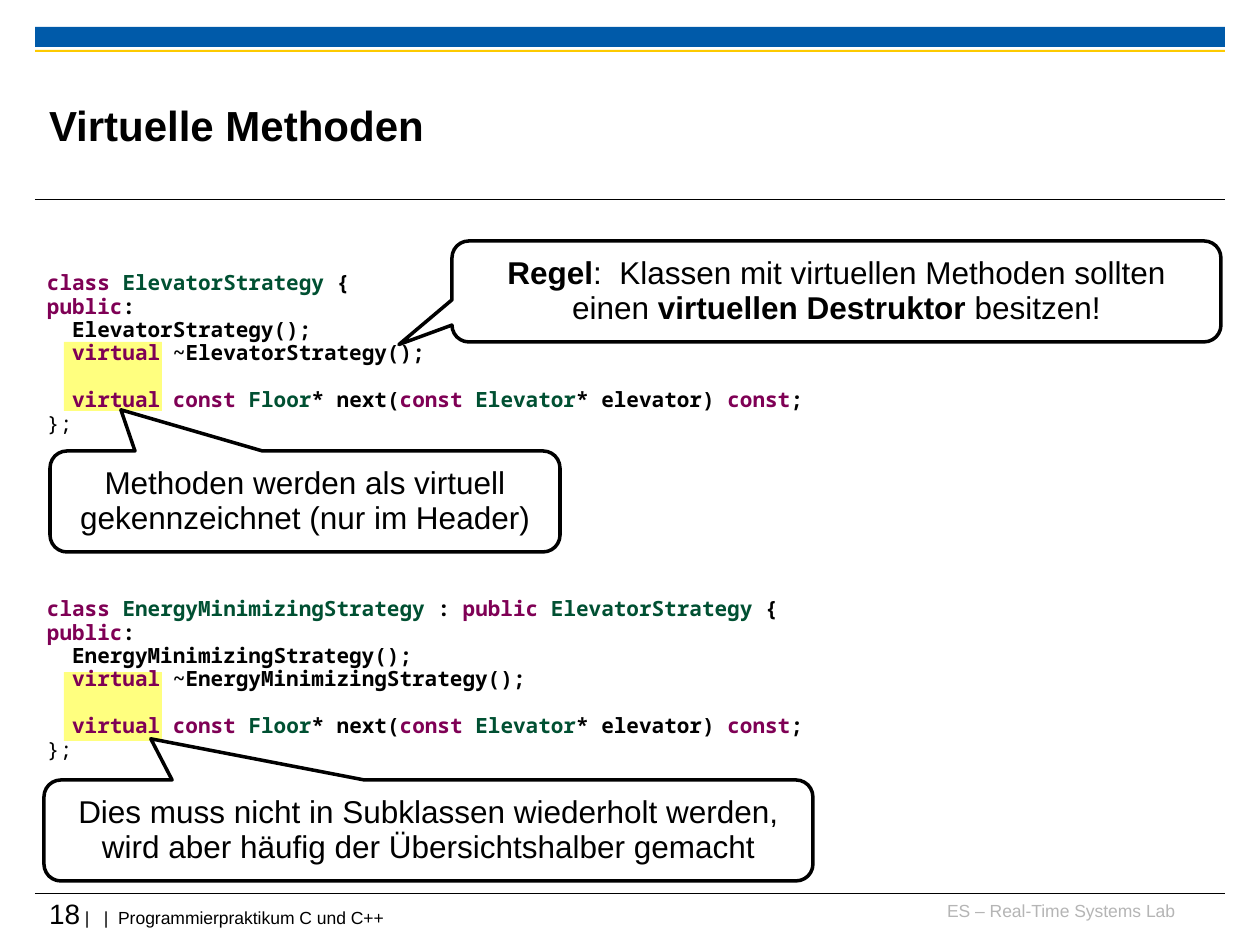
from typing import NamedTuple

import pptx
import pptx.dml.color
import pptx.enum.shapes
import pptx.enum.text
import pptx.oxml
import pptx.oxml.ns
import pptx.util

PX = 914400 / 126
COLORS = {
    "black": "000000", "white": "FFFFFF", "blue": "005AA9", "gold": "FDCA00",
    "grey": "B5B5B5", "marker": "FFFF00", "keyword": "7F0055", "type": "005032",
}
SHAPES = pptx.enum.shapes.MSO_SHAPE
ALIGN = pptx.enum.text.PP_ALIGN
ANCHOR = pptx.enum.text.MSO_ANCHOR
LINE_SPACING = 0.93
CODE_LINE = 13.4  # height of one line of code in points


class Box(NamedTuple):
    left: int
    top: int
    width: int
    height: int


class Span(NamedTuple):
    text: str
    color: str = "black"
    bold: bool = False
    size: int = 18
    font: str = "Arial"


class Callout(NamedTuple):
    box: Box
    tip: tuple[float, float]
    spans: list[Span]


def emu(*lengths: int) -> list[int]:
    return [round(length * PX) for length in lengths]


def rgb(name: str) -> pptx.dml.color.RGBColor:
    return pptx.dml.color.RGBColor.from_string(COLORS[name])


def add_spans(paragraph, spans: list[Span]) -> None:
    for span in spans:
        run = paragraph.add_run()
        run.text = span.text
        run.font.name = span.font
        run.font.size = pptx.util.Pt(span.size)
        run.font.bold = span.bold
        run.font.color.rgb = rgb(span.color)


def set_insets(frame, horizontal: int, vertical: int) -> None:
    frame.margin_left, frame.margin_right = emu(horizontal, horizontal)
    frame.margin_top, frame.margin_bottom = emu(vertical, vertical)


def add_text(slide, box: Box, spans: list[Span], align=ALIGN.LEFT, before: float = 0) -> None:
    frame = slide.shapes.add_textbox(*emu(*box)).text_frame
    frame.word_wrap = True
    set_insets(frame, 0, 0)
    paragraph = frame.paragraphs[0]
    paragraph.alignment = align
    paragraph.space_before = pptx.util.Pt(before)
    add_spans(paragraph, spans)


def add_filled(slide, box: Box, color: str, kind=SHAPES.RECTANGLE):
    shape = slide.shapes.add_shape(kind, *emu(*box))
    shape.shadow.inherit = False
    shape.fill.solid()
    shape.fill.fore_color.rgb = rgb(color)
    shape.line.fill.background()
    return shape


def add_marker(slide, box: Box) -> None:
    marker = add_filled(slide, box, "marker")
    color = marker.fill._xPr.find(".//" + pptx.oxml.ns.qn("a:srgbClr"))
    alpha = pptx.oxml.parse_xml(f'<a:alpha {pptx.oxml.ns.nsdecls("a")} val="50000"/>')
    color.append(alpha)


def add_rule(slide, left: int, right: int, y: int) -> None:
    rule = slide.shapes.add_connector(
        pptx.enum.shapes.MSO_CONNECTOR.STRAIGHT, *emu(left, y, right, y))
    rule.line.color.rgb = rgb("black")
    rule.line.width = pptx.util.Pt(0.6)
    no_effects = pptx.oxml.parse_xml(f'<a:effectLst {pptx.oxml.ns.nsdecls("a")}/>')
    rule._element.spPr.append(no_effects)


def add_callout(slide, callout: Callout) -> None:
    bubble = add_filled(slide, callout.box, "white", SHAPES.ROUNDED_RECTANGULAR_CALLOUT)
    for index, value in enumerate((*callout.tip, 0.167)):
        bubble.adjustments[index] = value
    bubble.line.color.rgb = rgb("black")
    bubble.line.width = pptx.util.Pt(2)
    frame = bubble.text_frame
    frame.word_wrap = True
    frame.vertical_anchor = ANCHOR.MIDDLE
    set_insets(frame, 13, 6)
    paragraph = frame.paragraphs[0]
    paragraph.alignment = ALIGN.CENTER
    paragraph.line_spacing = LINE_SPACING
    add_spans(paragraph, callout.spans)


def code(text: str, color: str = "black", bold: bool = True) -> Span:
    return Span(text, color, bold, 12, "Noto Sans Mono")


def class_lines(name: str, base: list[Span]) -> list[list[Span]]:
    return [
        [code("class ", "keyword"), code(name, "type"), *base, code(" {")],
        [code("public", "keyword"), code(":")],
        [code(f"  {name}();")],
        [code("  virtual", "keyword"), code(f" ~{name}();")],
        [code("  virtual const ", "keyword"), code("Floor", "type"), code("* next("),
         code("const ", "keyword"), code("Elevator", "type"), code("* elevator) "),
         code("const", "keyword"), code(";")],
        [code("};", bold=False)],
    ]


def add_code(slide, box: Box, lines: list[list[Span]]) -> None:
    frame = slide.shapes.add_textbox(*emu(*box)).text_frame
    frame.word_wrap = True
    set_insets(frame, 13, 6)
    for index, spans in enumerate(lines):
        paragraph = frame.add_paragraph() if index else frame.paragraphs[0]
        paragraph.line_spacing = LINE_SPACING
        # The gap of one line sets the method apart from the destructor
        paragraph.space_before = pptx.util.Pt(CODE_LINE if index == 4 else 0)
        add_spans(paragraph, spans)


def add_title(slide, box: Box, span: Span) -> None:
    title = slide.shapes.title
    title.left, title.top, title.width, title.height = emu(*box)
    frame = title.text_frame
    frame.auto_size = pptx.enum.text.MSO_AUTO_SIZE.NONE
    frame.vertical_anchor = ANCHOR.MIDDLE
    set_insets(frame, 0, 0)
    frame.paragraphs[0].alignment = ALIGN.LEFT
    add_spans(frame.paragraphs[0], [span])


CALLOUTS = [
    Callout(Box(50, 451, 510, 101), (-0.361, -0.908),
            [Span("Methoden werden als virtuell gekennzeichnet (nur im Header)")]),
    Callout(Box(44, 780, 769, 101), (-0.361, -0.908),
            [Span("Dies muss nicht in Subklassen wiederholt werden, "
                  "wird aber häufig der Übersichtshalber gemacht")]),
    Callout(Box(452, 241, 769, 101), (-0.569, 0.526),
            [Span("Regel", bold=True),
             Span(":  Klassen mit virtuellen Methoden sollten einen "),
             Span("virtuellen Destruktor", bold=True), Span(" besitzen!")]),
]


def main() -> None:
    deck = pptx.Presentation()
    deck.slide_width, deck.slide_height = emu(1260, 945)
    slide = deck.slides.add_slide(deck.slide_layouts[5])

    # Header bars, rules and footer
    add_filled(slide, Box(35, 27, 1190, 20), "blue")
    add_filled(slide, Box(35, 50, 1190, 2), "gold")
    for y in (200, 894):
        add_rule(slide, 35, 1225, y)
    add_text(slide, Box(927, 900, 248, 31),
             [Span("ES – Real-Time Systems Lab", "grey", size=10)], ALIGN.RIGHT, 6.2)
    add_text(slide, Box(49, 897, 1176, 42),
             [Span("18", size=16), Span(" |   |  Programmierpraktikum C und C++", size=10)])

    add_title(slide, Box(49, 67, 948, 116), Span("Virtuelle Methoden", bold=True, size=24))

    # Code listings over their markers
    for top in (672, 342):
        add_marker(slide, Box(64, top, 98, 69))
    add_code(slide, Box(34, 266, 920, 176), class_lines("ElevatorStrategy", []))
    base = [code(" : "), code("public ", "keyword"), code("ElevatorStrategy", "type")]
    add_code(slide, Box(34, 592, 843, 176), class_lines("EnergyMinimizingStrategy", base))

    # Remarks
    for callout in CALLOUTS:
        add_callout(slide, callout)

    deck.save("out.pptx")


if __name__ == "__main__":
    main()
